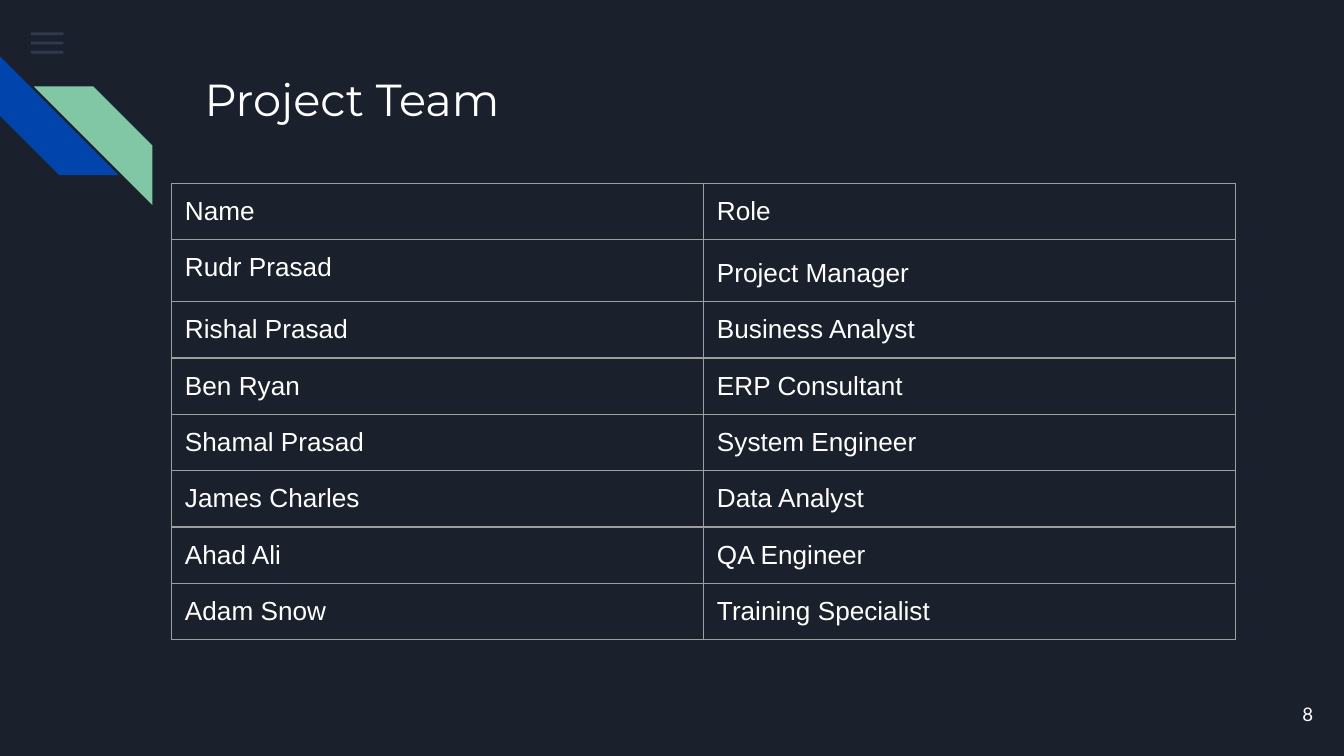
from lxml.etree import SubElement
from pptx import Presentation
from pptx.dml.color import RGBColor
from pptx.enum.shapes import MSO_SHAPE as Shape
from pptx.enum.text import MSO_ANCHOR as Anchor, MSO_AUTO_SIZE as AutoSize, PP_ALIGN as Align
from pptx.oxml.ns import qn
from pptx.util import Pt

COLORS = {
    "background": "1B212C",
    "menu": "55688B",
    "blue": "0145AC",
    "green": "82C7A5",
    "text": "FFFFFF",
    "border": "9E9E9E",
}
INSET = 7.2
TEAM = [
    ("Name", "Role"),
    ("Rudr Prasad", "Project Manager"),
    ("Rishal Prasad", "Business Analyst"),
    ("Ben Ryan", "ERP Consultant"),
    ("Shamal Prasad", "System Engineer"),
    ("James Charles", "Data Analyst"),
    ("Ahad Ali", "QA Engineer"),
    ("Adam Snow", "Training Specialist"),
]


def color(name):
    return RGBColor.from_string(COLORS[name])


def set_margins(target):
    target.margin_left = target.margin_right = Pt(INSET)
    target.margin_top = target.margin_bottom = Pt(INSET)


def style_paragraph(paragraph, font_name, size, align=Align.LEFT):
    paragraph.alignment = align
    font = paragraph.font
    font.name = font_name
    font.size = Pt(size)
    font.bold = False
    font.color.rgb = color("text")


def fill_frame(shape, text, font_name, size, anchor, align=Align.LEFT):
    frame = shape.text_frame
    frame.word_wrap = True
    frame.auto_size = AutoSize.NONE
    frame.vertical_anchor = anchor
    set_margins(frame)
    frame.text = text
    style_paragraph(frame.paragraphs[0], font_name, size, align)


def add_filled_shape(slide, kind, left, top, width, height, fill):
    shape = slide.shapes.add_shape(kind, Pt(left), Pt(top), Pt(width), Pt(height))
    shape.shadow.inherit = False
    shape.fill.solid()
    shape.fill.fore_color.rgb = color(fill)
    shape.line.fill.background()
    return shape


def add_menu_icon(slide):
    for index in range(3):
        bar = add_filled_shape(slide, Shape.RECTANGLE, 16.6, 17.4 + 4.95 * index, 17.4, 1.5, "menu")
        fill_color = bar.element.spPr.find(qn("a:solidFill"))[0]
        SubElement(fill_color, qn("a:alpha"), val="36000")


def add_stripe(slide, left, top, rotation, fill):
    stripe = add_filled_shape(slide, Shape.DIAGONAL_STRIPE, left, top, 63.6, 63.6, fill)
    stripe.adjustments[0] = 0.5
    stripe.rotation = rotation


def add_title(slide, text):
    title = slide.shapes.title
    title.left, title.top, title.width, title.height = Pt(102.4), Pt(31), Pt(554.4), Pt(72)
    fill_frame(title, text, "Montserrat", 24, Anchor.TOP)


def set_borders(cell):
    properties = cell._tc.get_or_add_tcPr()
    for side in ("lnL", "lnR", "lnT", "lnB"):
        line = SubElement(properties, qn(f"a:{side}"), w=str(Pt(0.75)))
        fill = SubElement(line, qn("a:solidFill"))
        SubElement(fill, qn("a:srgbClr"), val=COLORS["border"])


def add_team_table(slide):
    row_height = 30.1
    frame = slide.shapes.add_table(
        len(TEAM), 2, Pt(91.9), Pt(98.2), Pt(570), Pt(row_height * len(TEAM)))
    table = frame.table
    table.first_row = table.horz_banding = False
    for row_index, member in enumerate(TEAM):
        table.rows[row_index].height = Pt(row_height)
        for column_index, text in enumerate(member):
            cell = table.cell(row_index, column_index)
            set_margins(cell)
            set_borders(cell)
            cell.fill.background()
            cell.text = text
            style_paragraph(cell.text_frame.paragraphs[0], "Arial", 14)
    table.cell(1, 1).text_frame.paragraphs[0].line_spacing = 1.2


def add_slide_number(slide, number):
    box = slide.shapes.add_textbox(Pt(667.4), Pt(367.2), Pt(43.2), Pt(31))
    fill_frame(box, number, "Lato", 10, Anchor.MIDDLE, Align.RIGHT)


def main():
    presentation = Presentation()
    presentation.slide_width, presentation.slide_height = Pt(720), Pt(405)
    slide = presentation.slides.add_slide(presentation.slide_layouts[5])
    slide.background.fill.solid()
    slide.background.fill.fore_color.rgb = color("background")
    add_menu_icon(slide)
    add_stripe(slide, 0, 30.2, 270, "blue")
    add_stripe(slide, 18.1, 46.3, 90, "green")
    add_title(slide, "Project Team")
    add_team_table(slide)
    add_slide_number(slide, "8")
    presentation.save("out.pptx")


if __name__ == "__main__":
    main()
